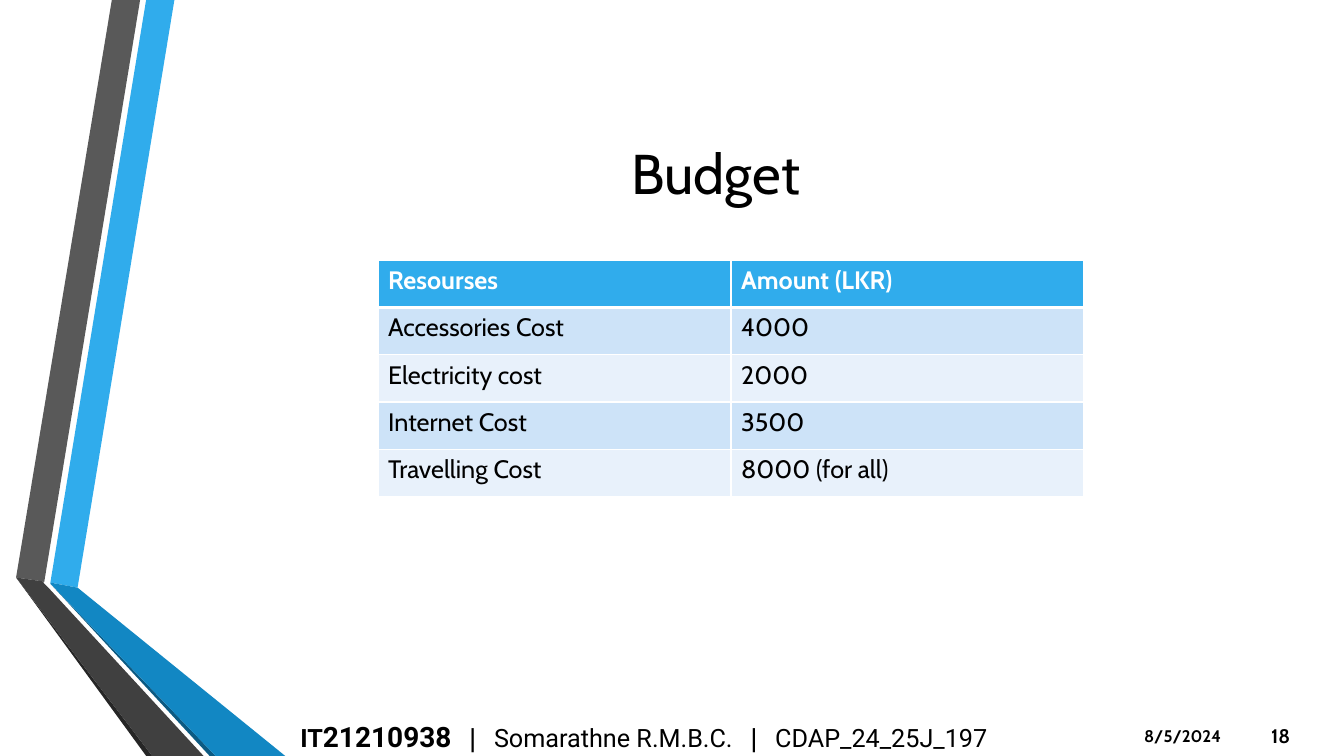
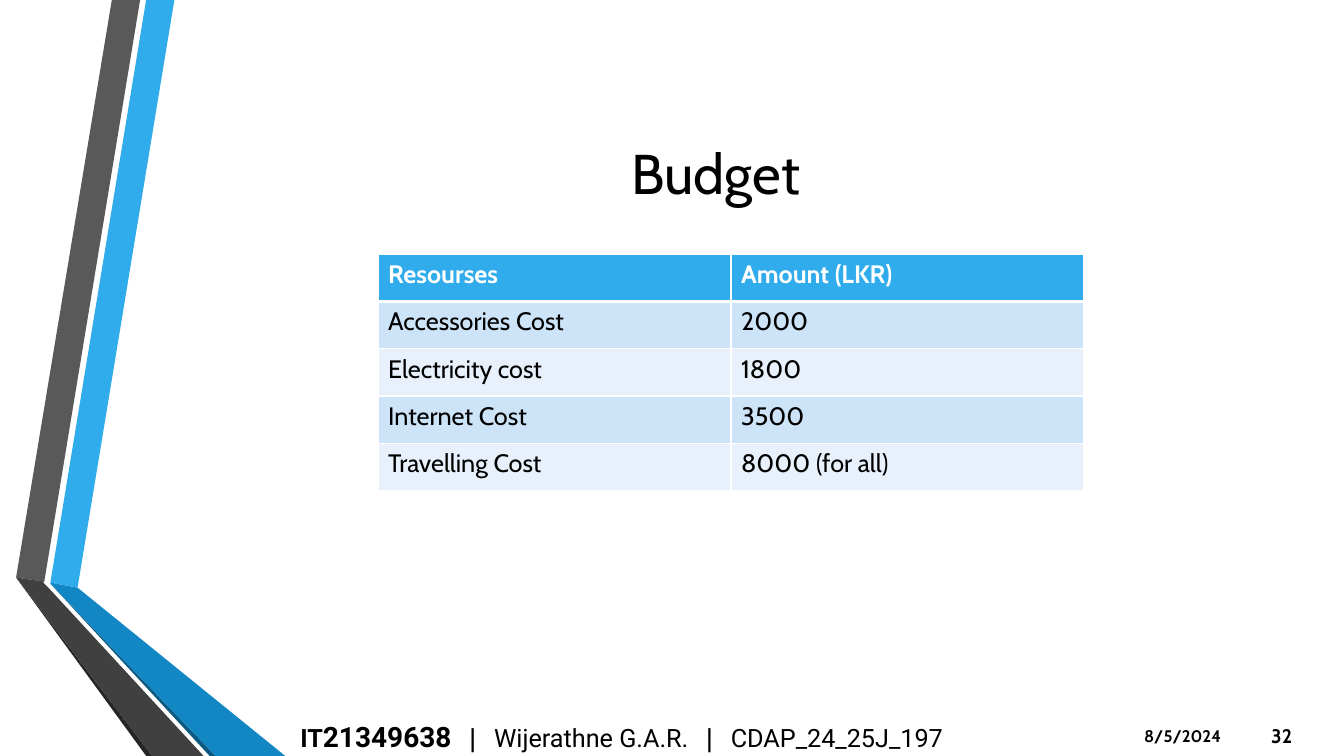
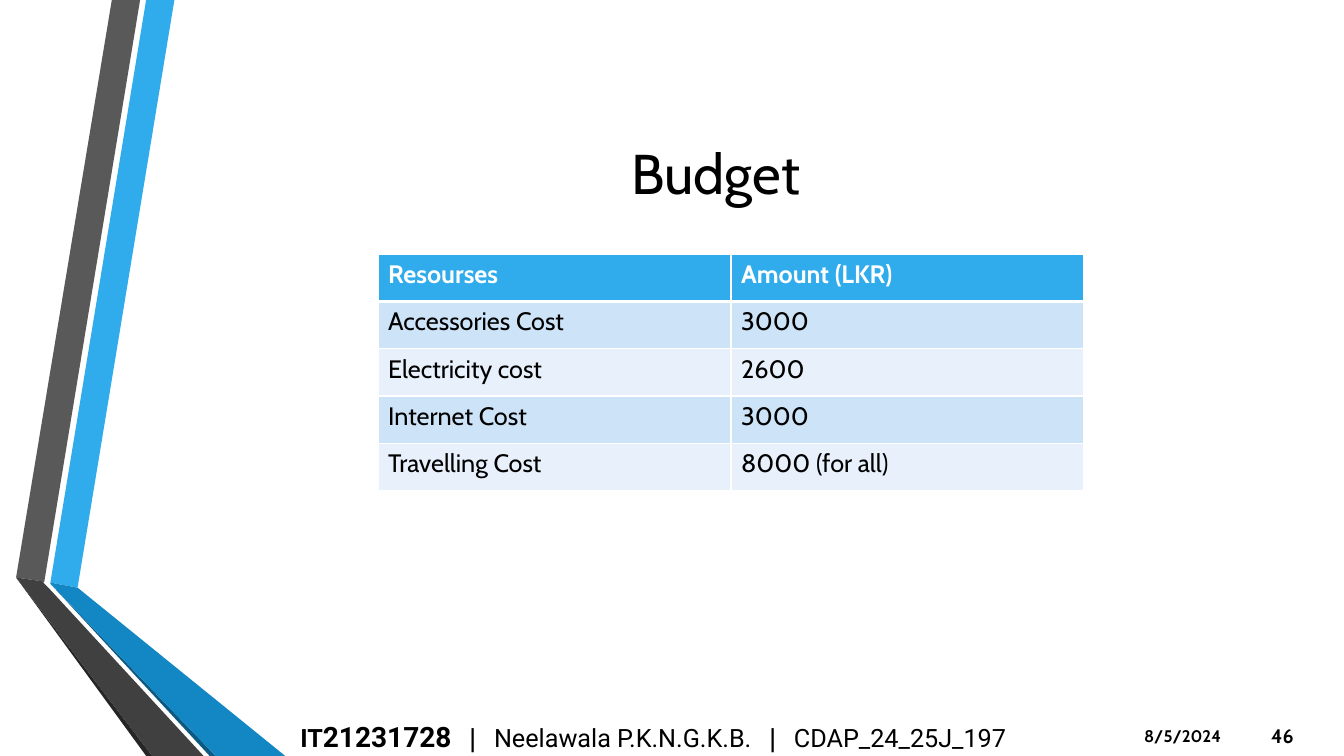
from lxml import etree
from pptx import Presentation
from pptx import util as u
from pptx.dml.color import RGBColor
from pptx.enum import text
from pptx.oxml import ns

SCALE = 9144
WIDTH, HEIGHT = 1333, 750
COLORS = {
    "text": "000000", "white": "FFFFFF", "blue": "30ACEC",
    "deep_blue": "1287C3", "navy": "0C5A82", "gray": "595959",
    "dark_gray": "404040", "charcoal": "262626",
    "row_odd": "CDE3F8", "row_even": "E8F1FB",
}
RIBBONS = [
    ("blue", [(50, 578), (77, 583), (173, 0), (145, 0)]),
    ("gray", [(139, 0), (111, 0), (16, 573), (44, 577)]),
    ("charcoal", [(16, 573), (145, 750), (151, 750)]),
    ("navy", [(50, 579), (208, 750), (214, 750)]),
    ("deep_blue", [(50, 579), (214, 750), (283, 750), (77, 583), (50, 578)]),
    ("dark_gray", [(202, 750), (48, 583), (43, 578), (44, 577), (16, 573), (151, 750)]),
]
RESOURCES = ["Accessories Cost", "Electricity cost", "Internet Cost", "Travelling Cost"]
PROJECT = "CDAP_24_25J_197"
DATE = "8/5/2024"
BUDGETS = [
    ("21210938", "Somarathne R.M.B.C.", 18, 258, ["4000", "2000", "3500", "8000 (for all)"]),
    ("21349638", "Wijerathne G.A.R.", 32, 252, ["2000", "1800", "3500", "8000 (for all)"]),
    ("21231728", "Neelawala P.K.N.G.K.B.", 46, 252, ["3000", "2600", "3000", "8000 (for all)"]),
]


def px(n):
    """Turn px into EMU."""
    return u.Emu(n * SCALE)


def rgb(name):
    """Look up a named colour."""
    return RGBColor.from_string(COLORS[name])


def style(font, size, bold=False, color="text", name="Cabin"):
    """Set the main properties of a font."""
    font.name, font.size, font.bold = name, u.Pt(size), bold
    font.color.rgb = rgb(color)


def add_text_box(s, box, anchor=text.MSO_ANCHOR.MIDDLE):
    """Add a wrapping text box and return its text frame."""
    tf = s.shapes.add_textbox(*map(px, box)).text_frame
    tf.word_wrap = True
    tf.vertical_anchor = anchor
    return tf


def add_line(s, box, words, size, bold=False, **options):
    """Add a text box with one evenly styled paragraph."""
    tf = add_text_box(s, box, **options)
    p = tf.paragraphs[0]
    p.text = words
    style(p.font, size, bold)
    return tf


def add_ribbons(s, left, top):
    """Draw the folded ribbons as one group."""
    group = s.shapes.add_group_shape()
    for color, points in RIBBONS:
        (x, y), *rest = [(left + a, top + b) for a, b in points]
        builder = group.shapes.build_freeform(x, y, scale=SCALE)
        builder.add_line_segments(rest, close=True)
        sp = builder.convert_to_shape()
        sp.shadow.inherit = False
        sp.fill.solid()
        sp.fill.fore_color.rgb = rgb(color)
        sp.line.fill.background()


def add_footer(s, left, top, student_id, student, number):
    """Place the student line, the date and the slide number."""
    p = add_text_box(s, (left, top, 745, 40)).paragraphs[0]
    gap, bar = (" ", 18, False, "Cabin", 9), ("|", 18, False, "Cabin", 0)
    divider = [gap, bar, gap]
    pieces = [("IT", 18, True, "Roboto", 0), (student_id, 20, True, "Roboto", 0),
              *divider, (student, 18, False, "Roboto", 0),
              *divider, (PROJECT, 18, False, "Roboto", 0)]
    for words, size, bold, name, spacing in pieces:
        r = p.add_run()
        r.text = words
        style(r.font, size, bold, name=name)
        if spacing:
            r._r.get_or_add_rPr().set("spc", str(spacing * 100))
    tf = add_line(s, (left + 837, top + 5, 117, 30), DATE, 12, True,
                  anchor=text.MSO_ANCHOR.TOP)
    tf.auto_size = text.MSO_AUTO_SIZE.SHAPE_TO_FIT_TEXT
    add_line(s, (left + 963, top, 74, 40), str(number), 14, True)


def set_borders(cell, top, bottom):
    """Give a cell white borders, with top and bottom widths in points."""
    tcPr = cell._tc.get_or_add_tcPr()
    for side, width in zip("LRTB", (1, 1, top, bottom)):
        ln = etree.SubElement(tcPr, ns.qn(f"a:ln{side}"), w=str(u.Pt(width)))
        fill = etree.SubElement(ln, ns.qn("a:solidFill"))
        etree.SubElement(fill, ns.qn("a:srgbClr"), val=COLORS["white"])


def add_budget_table(s, box, amounts):
    """Fill the box with the table of resources and amounts."""
    rows = [("Resourses", "Amount (LKR)"), *zip(RESOURCES, amounts)]
    table = s.shapes.add_table(len(rows), 2, *map(px, box)).table
    table.horz_banding = False
    for i, row in enumerate(rows):
        header = i == 0
        color = "blue" if header else "row_odd" if i % 2 else "row_even"
        for j, words in enumerate(row):
            cell = table.cell(i, j)
            set_borders(cell, 3 if i == 1 else 1, 3 if header else 1)
            cell.fill.solid()
            cell.fill.fore_color.rgb = rgb(color)
            p = cell.text_frame.paragraphs[0]
            p.text = words
            style(p.font, 18, header, "white" if header else "text")


def add_budget_slide(prs, student_id, student, number, table_top, amounts):
    """Build one student's budget slide."""
    s = prs.slides.add_slide(prs.slide_layouts[6])
    add_ribbons(s, 0, 0)
    tf = add_line(s, (162, 75, 1096, 192), "Budget", 40)
    tf.paragraphs[0].alignment = text.PP_ALIGN.CENTER
    add_budget_table(s, (375, table_top, 700, 235), amounts)
    add_footer(s, 288, 710, student_id, student, number)


def main():
    """Build and save the presentation."""
    prs = Presentation()
    prs.slide_width, prs.slide_height = px(WIDTH), px(HEIGHT)
    for budget in BUDGETS:
        add_budget_slide(prs, *budget)
    prs.save("out.pptx")


if __name__ == "__main__":
    main()
